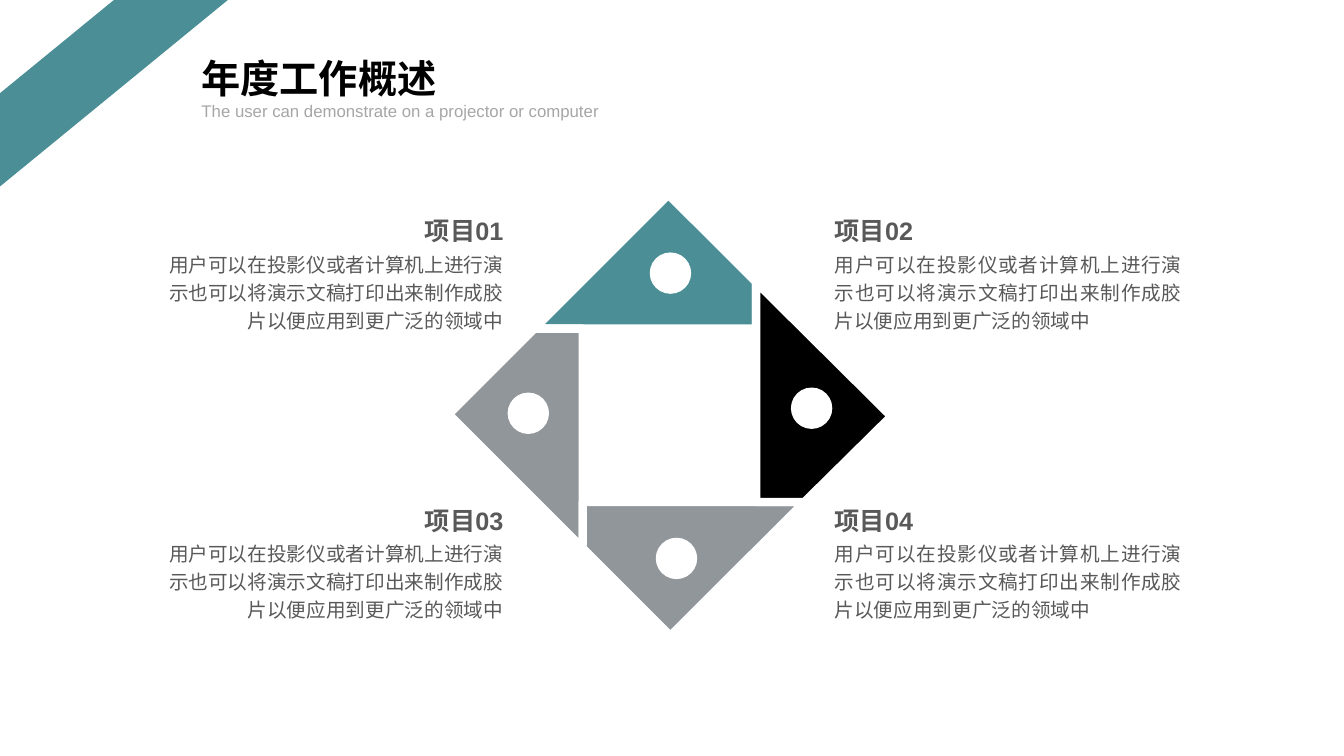
"""Build the yearly work overview slide with a four-part pinwheel."""
from pptx import Presentation
from pptx.dml.color import RGBColor
from pptx.enum.shapes import MSO_SHAPE
from pptx.enum.text import MSO_AUTO_SIZE, PP_ALIGN
from pptx.util import Inches, Pt

TEAL = RGBColor(0x4B, 0x8E, 0x95)
GRAY = RGBColor(0x91, 0x96, 0x9B)
BLACK = RGBColor(0, 0, 0)
WHITE = RGBColor(0xFF, 0xFF, 0xFF)
DARK = RGBColor(0x59, 0x59, 0x59)
PALE = RGBColor(0xA6, 0xA6, 0xA6)

TITLE = "年度工作概述"
SUB = "The user can demonstrate on a projector or computer"
BODY = "用户可以在投影仪或者计算机上进行演示也可以将演示文稿打印出来制作成胶片以便应用到更广泛的领域中"
ITEMS = ["项目01", "项目02", "项目03", "项目04"]
BLADES = [
    (TEAL, [(6.63, 1.93), (7.5, 2.8), (7.5, 3.26), (5.3, 3.26)], (6.65, 2.71)),
    (GRAY, [(5.78, 3.26), (5.78, 5.44), (4.45, 4.11), (5.3, 3.26)], (5.24, 4.1)),
    (GRAY, [(7.98, 4.98), (6.65, 6.31), (5.78, 5.44), (5.78, 4.98)], (6.71, 5.54)),
    (BLACK, [(7.5, 2.8), (8.84, 4.13), (7.98, 4.98), (7.5, 4.98)], (8.05, 4.05)),
]
DOT = 0.4
LEFT, RIGHT = 1.45, 8.18
WIDE, SLIM = 3.64, 2.45
TOP, STEP, DROP = 2.03, 2.87, 0.38


def paint(shape, fill, line=None, width=0.75):
    shape.shadow.inherit = False
    shape.fill.solid()
    shape.fill.fore_color.rgb = fill
    if line is None:
        shape.line.fill.background()
    else:
        shape.line.color.rgb = line
        shape.line.width = Pt(width)


def write(slide, words, box, size, color, bold=False, align=None, space=None, wrap=True):
    frame = slide.shapes.add_textbox(*map(Inches, box)).text_frame
    frame.word_wrap = wrap
    frame.auto_size = MSO_AUTO_SIZE.SHAPE_TO_FIT_TEXT
    para = frame.paragraphs[0]
    para.alignment = align
    para.line_spacing = space
    run = para.add_run()
    run.text = words
    run.font.name = "Arial"
    run.font.size = Pt(size)
    run.font.bold = bold
    run.font.color.rgb = color


def main():
    deck = Presentation()
    deck.slide_width, deck.slide_height = Inches(13.33), Inches(7.5)
    slide = deck.slides.add_slide(deck.slide_layouts[6])
    shapes = slide.shapes

    stripe = shapes.add_shape(MSO_SHAPE.DIAGONAL_STRIPE, 0, 0, Inches(2.26), Inches(1.85))
    paint(stripe, TEAL)

    for color, points, _ in BLADES:
        first, *rest = [(Inches(x), Inches(y)) for x, y in points]
        pen = shapes.build_freeform(*first)
        pen.add_line_segments(rest)
        paint(pen.convert_to_shape(), color, WHITE, 6)

    for _, _, (x, y) in BLADES:
        box = (x - DOT / 2, y - DOT / 2, DOT, DOT)
        paint(shapes.add_shape(MSO_SHAPE.OVAL, *map(Inches, box)), WHITE, WHITE)

    for i, name in enumerate(ITEMS):
        row, col = divmod(i, 2)
        y = TOP + row * STEP
        x = RIGHT if col else LEFT
        head = x if col else x + WIDE - SLIM
        align = PP_ALIGN.JUSTIFY if col else PP_ALIGN.RIGHT
        write(slide, BODY, (x, y + DROP, WIDE, 0.95), 14, DARK, align=align, space=1.2)
        write(slide, name, (head, y, SLIM, 0.43), 18, DARK, True, align, 1.2)

    write(slide, TITLE, (1.9, 0.49, 2.56, 0.57), 28, BLACK, True, wrap=False)
    write(slide, SUB, (1.9, 0.95, 5.54, 0.3), 12, PALE)
    deck.save("out.pptx")


if __name__ == "__main__":
    main()
